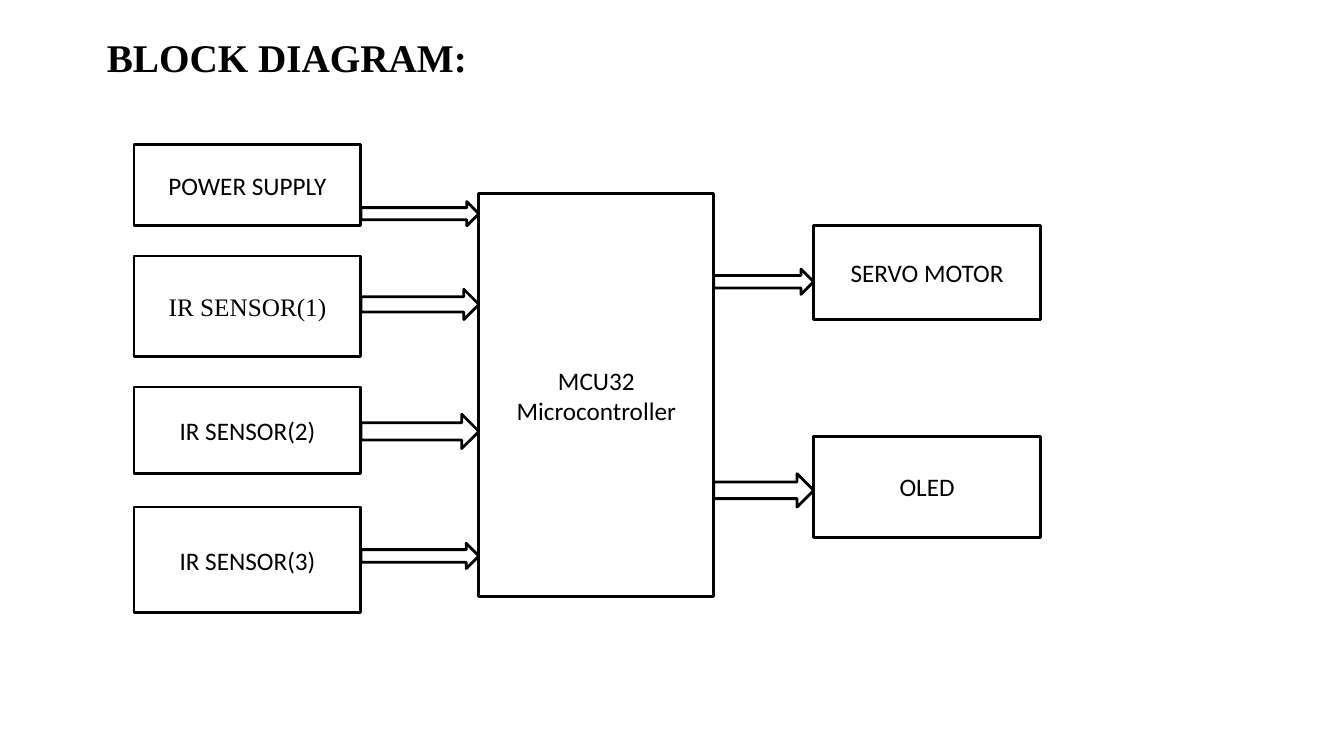
from pptx import Presentation
from pptx.dml.color import RGBColor
from pptx.enum.shapes import MSO_SHAPE
from pptx.enum.text import MSO_ANCHOR, MSO_AUTO_SIZE, PP_ALIGN
from pptx.util import Inches, Pt

RECT, ARROW = MSO_SHAPE.RECTANGLE, MSO_SHAPE.RIGHT_ARROW
LEFT, CENTER = PP_ALIGN.LEFT, PP_ALIGN.CENTER
TOP, MIDDLE = MSO_ANCHOR.TOP, MSO_ANCHOR.MIDDLE
FIXED = MSO_AUTO_SIZE.NONE
BLACK = RGBColor(0, 0, 0)
WHITE = RGBColor(255, 255, 255)
SANS, SERIF = "Calibri", "Times New Roman"

# Board: left, top, width, height
CHIP = (4.75, 1.92, 2.33, 4)
SIDE = 2.25   # width of the outer blocks
IN_GAP, OUT_GAP = 1.17, 0.99

# Label, font, block top and height, arrow top and height
INPUTS = [
    ("POWER SUPPLY", SANS, 1.43, 0.81, 2, 0.24),
    ("IR SENSOR(1)", SERIF, 2.54, 1, 2.87, 0.3),
    ("IR SENSOR(2)", SANS, 3.84, 0.86, 4.11, 0.34),
    ("IR SENSOR(3)", SANS, 5.03, 1.05, 5.39, 0.25),
]
OUTPUTS = [
    ("SERVO MOTOR", SANS, 2.24, 0.93, 2.67, 0.25),
    ("OLED", SANS, 4.33, 1, 4.7, 0.33),
]


def add_shape(slide, kind, box):
    shape = slide.shapes.add_shape(kind, *map(Inches, box))
    shape.shadow.inherit = False
    shape.fill.solid()
    shape.fill.fore_color.rgb = WHITE
    shape.line.color.rgb = BLACK
    shape.line.width = Pt(2)
    return shape


def style(para, font, size, align, bold=False):
    para.alignment = align
    para.font.name = font
    para.font.size = Pt(size)
    para.font.bold = bold
    para.font.color.rgb = BLACK


def add_block(slide, box, label, font=SANS):
    frame = add_shape(slide, RECT, box).text_frame
    frame.text = label
    frame.word_wrap = True
    frame.vertical_anchor = MIDDLE
    for para in frame.paragraphs:
        style(para, font, 18, CENTER)


def add_title(slide, box, label):
    title = slide.shapes.title
    title.left, title.top, title.width, title.height = map(Inches, box)
    frame = title.text_frame
    frame.text = label
    frame.auto_size = FIXED
    frame.vertical_anchor = TOP
    frame.margin_left = frame.margin_right = 0
    frame.margin_top = frame.margin_bottom = 0
    style(frame.paragraphs[0], SERIF, 28, LEFT, bold=True)


def add_column(slide, parts, block_x, arrow_x, gap):
    """Stack the outer blocks, each with its arrow."""
    for label, font, top, height, arrow_y, arrow_h in parts:
        add_block(slide, (block_x, top, SIDE, height), label, font)
        add_shape(slide, ARROW, (arrow_x, arrow_y, gap, arrow_h))


def add_diagram(slide, chip):
    left, _, width, _ = chip
    right = left + width
    # Controller
    add_block(slide, chip, "MCU32\nMicrocontroller")
    # Inputs on the left, outputs on the right
    add_column(slide, INPUTS, left - IN_GAP - SIDE, left - IN_GAP, IN_GAP)
    add_column(slide, OUTPUTS, right + OUT_GAP, right, OUT_GAP)


def main():
    deck = Presentation()
    deck.slide_width, deck.slide_height = Inches(13.33), Inches(7.5)
    slide = deck.slides.add_slide(deck.slide_layouts[5])
    add_title(slide, (1.06, 0.33, 11.21, 0.47), "BLOCK DIAGRAM:")
    add_diagram(slide, CHIP)
    deck.save("out.pptx")


if __name__ == "__main__":
    main()
